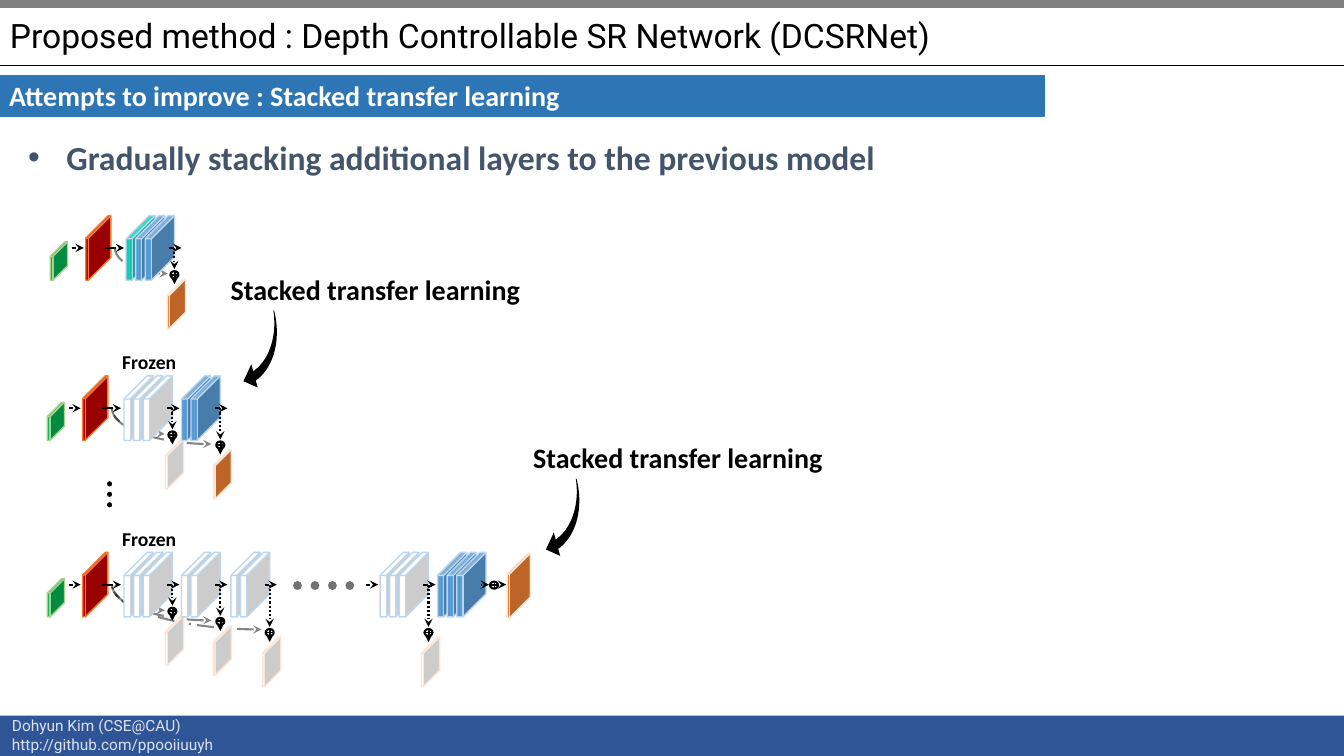
from lxml import etree
from pptx import Presentation
from pptx.dml.color import RGBColor
from pptx.enum.shapes import MSO_CONNECTOR, MSO_SHAPE
from pptx.enum.text import MSO_ANCHOR, PP_ALIGN
from pptx.oxml.ns import qn
from pptx.util import Inches, Pt

STRAIGHT = MSO_CONNECTOR.STRAIGHT
RECT, CUBE, ARC = MSO_SHAPE.RECTANGLE, MSO_SHAPE.CUBE, MSO_SHAPE.ARC
OVAL, PLUS = MSO_SHAPE.OVAL, MSO_SHAPE.MATH_PLUS
CURVED = MSO_SHAPE.CURVED_LEFT_ARROW
MIDDLE, CENTER, LEFT = MSO_ANCHOR.MIDDLE, PP_ALIGN.CENTER, PP_ALIGN.LEFT

W, H = 13.33, 7.5
C = {
    "footer": "2F5597", "top": "808080", "footer_text": "DAE3F3", "banner": "2E75B6",
    "bullet": "44546A", "black": "000000", "white": "FFFFFF", "dots": "767171",
    "input": "00B050", "input_edge": "A9D18E", "conv": "C00000", "orange": "ED7D31",
    "teal": "16CCB6", "blue": "5B9BD5", "layer_edge": "BDD7EE", "head_edge": "FBE5D6",
}

TITLE = "Proposed method : Depth Controllable SR Network (DCSRNet)"
BANNER = "Attempts to improve : Stacked transfer learning"
BULLET = "Gradually stacking additional layers to the previous model"
FOOTER = "Dohyun Kim (CSE@CAU)\nhttp://github.com/ppooiiuuyh"
TRANSFER, FROZEN = "Stacked transfer learning", "Frozen"

ICE2, ICE3 = ["white"] * 2, ["white"] * 3
MODELS = [
    {"x": 0.5, "axis": 2.46, "arcs": [(1.06, 0.51)],
     "blocks": [(1.25, ["teal", "blue", "blue"], 0.21, "orange")]},
    {"x": 0.47, "axis": 4.05, "arcs": [(1.06, 0.51), (1.99, 0.71)],
     "blocks": [(1.23, ICE3, 0.21, "white"), (1.8, ["blue"] * 2, 0.31, "orange")]},
    {"x": 0.47, "axis": 5.8, "arcs": [(1.06, 0.51), (2.99, 0.89), (1.99, 0.71)],
     "blocks": [(1.23, ICE3, 0.21, "white"), (1.8, ICE2, 0.31, "white"),
                (2.29, ICE2, 0.42, "white"), (3.77, ICE3, 0.42, "white"),
                (4.34, ["blue"] * 3, None, "orange")]},
]
TRANSFERS = [(2.24, 2.37), (5.24, 4.04)]
FROZEN_TOPS = [3.42, 5.18]
LAYER_STEP, LAYER_W, LAYER_H = 0.095, 0.29, 0.64

prs = Presentation()
prs.slide_width, prs.slide_height = Inches(W), Inches(H)
slide = prs.slides.add_slide(prs.slide_layouts[6])


def style_line(sp, color, width, dash=None, head=False, tail=False, alpha=None, cap=None):
    sp.line.color.rgb = RGBColor.from_string(C[color])
    sp.line.width = Pt(width)
    ln = sp._element.spPr.find(qn("a:ln"))
    if alpha:
        clr = ln.find(qn("a:solidFill"))[0]
        etree.SubElement(clr, qn("a:alpha")).set("val", str(alpha * 1000))
    if cap:
        ln.set("cap", cap)
    if dash:
        etree.SubElement(ln, qn("a:prstDash")).set("val", dash)
    for tag, wanted in (("a:headEnd", head), ("a:tailEnd", tail)):
        if wanted:
            etree.SubElement(ln, qn(tag)).set("type", "stealth")


def shape(kind, x, y, w, h, fill=None, edge=None, width=1, adj=(), rot=0, **line):
    sp = slide.shapes.add_shape(kind, Inches(x), Inches(y), Inches(w), Inches(h))
    sp.shadow.inherit = False
    sp.rotation = rot
    for i, value in enumerate(adj):
        sp.adjustments[i] = value
    if fill:
        sp.fill.solid()
        sp.fill.fore_color.rgb = RGBColor.from_string(C[fill])
    else:
        sp.fill.background()
    if edge:
        style_line(sp, edge, width, **line)
    else:
        sp.line.fill.background()
    return sp


def connect(x1, y1, x2, y2, color="black", width=1.5, **line):
    cx = slide.shapes.add_connector(STRAIGHT, Inches(x1), Inches(y1), Inches(x2), Inches(y2))
    style_line(cx, color, width, **line)
    etree.SubElement(cx._element.spPr, qn("a:effectLst"))


def write(sp, text, size, color="black", font="Calibri", bold=True, align=LEFT):
    tf = sp.text_frame
    tf.text = text
    for p in tf.paragraphs:
        p.alignment = align
        for r in p.runs:
            r.font.size, r.font.name, r.font.bold = Pt(size), font, bold
            r.font.color.rgb = RGBColor.from_string(C[color])
    return tf


def text_box(x, y, w, h, *args, wrap=False, **kw):
    sp = slide.shapes.add_textbox(Inches(x), Inches(y), Inches(w), Inches(h))
    tf = write(sp, *args, **kw)
    tf.word_wrap = wrap
    return tf


def output_plus(x, y):
    shape(OVAL, x, y, 0.08, 0.07, None, "black", 1.5)
    shape(PLUS, x, y, 0.09, 0.07, "black", "black", adj=[0.046])


def draw_block(axis, left, layers, drop, head):
    for i, color in enumerate(layers):
        shape(CUBE, left + i * LAYER_STEP, axis - LAYER_H / 2, LAYER_W, LAYER_H,
              color, "layer_edge", adj=[0.788])
    leave = left + (len(layers) - 1) * LAYER_STEP + 0.24
    if drop is None:
        connect(leave, axis, leave + 0.08, axis, tail=True)
        output_plus(leave + 0.09, axis - 0.03)
        connect(leave + 0.19, axis, leave + 0.25, axis, tail=True)
        shape(CUBE, leave + 0.26, axis - 0.31, 0.23, LAYER_H, head, "head_edge", adj=[0.897])
        return
    x, y = leave + 0.05, axis + drop
    connect(leave, axis, leave + 0.12, axis, tail=True)
    connect(x, axis, x, y, dash="sysDot", tail=True)
    output_plus(x - 0.04, y + 0.02)
    shape(CUBE, x - 0.07, y + 0.1, 0.18, 0.49, head, "head_edge", adj=[0.897])
    connect(x, y + 0.1, x, y + 0.15, dash="sysDot", tail=True)


def draw_model(x, axis, arcs, blocks):
    for w, h in arcs:
        shape(ARC, x + 0.64, axis - h / 2, w, h, None, "black", 1.5, [162.867, 0], 180,
              dash="lgDashDotDot", head=True, alpha=48)
    shape(CUBE, x, axis - 0.06, 0.17, 0.38, "input", "input_edge", adj=[0.835])
    shape(CUBE, x + 0.35, axis - LAYER_H / 2, 0.25, LAYER_H, "conv", "orange", adj=[0.897])
    connect(x + 0.21, axis, x + 0.33, axis, tail=True)
    connect(x + 0.54, axis, x + 0.73, axis, tail=True)
    for block in blocks:
        draw_block(axis, *block)


shape(RECT, 0, 7.1, W, 0.4, "footer")
shape(RECT, 0, 0, W, 0.07, "top", "top")
connect(0, 0.65, W, 0.65, width=0.5)
text_box(0.02, 7.06, 2.22, 0.47, FOOTER, 11, "footer_text", "Roboto", False)

banner = write(shape(RECT, 0, 0.75, 10.36, 0.4, "banner", "banner"), BANNER, 20, "white")
banner.vertical_anchor = MIDDLE
banner.margin_left = banner.margin_right = Inches(0.09)
banner.margin_top = banner.margin_bottom = Inches(0.04)

title = text_box(0, 0.09, 11.67, 0.57, TITLE, 24, font="Roboto", bold=False, wrap=True)
title.vertical_anchor = MIDDLE
title.paragraphs[0].line_spacing = 0.9

bullet = text_box(0.18, 1.31, 8.95, 0.5, BULLET, 24, "bullet")
pPr = bullet.paragraphs[0]._p.get_or_add_pPr()
pPr.set("marL", str(Inches(0.38)))
pPr.set("indent", str(-Inches(0.38)))
etree.SubElement(pPr, qn("a:buClr")).append(
    etree.Element(qn("a:srgbClr"), val=C["bullet"]))
etree.SubElement(pPr, qn("a:buFont")).set("typeface", "Arial")
etree.SubElement(pPr, qn("a:buChar")).set("char", "•")

for model in MODELS:
    draw_model(**model)
connect(2.95, 5.81, 3.47, 5.81, "dots", 6.25, dash="sysDot", cap="rnd")
connect(3.63, 5.8, 3.75, 5.8, tail=True)
connect(1.09, 4.8, 1.09, 5.11, width=3.75, dash="sysDot", cap="rnd")

for x, y in TRANSFERS:
    shape(CURVED, x, y, 0.48, 1.49, "black", adj=[0.197, 0.5, 0.25], rot=344.6)
    shape(RECT, x - 0.34, y - 0.22, 0.88, 0.93, "white")
    text_box(x - 0.05, y + 0.28, 3.1, 0.44, TRANSFER, 20)
for y in FROZEN_TOPS:
    text_box(1.11, y, 0.74, 0.34, FROZEN, 14, align=CENTER)

prs.save("out.pptx")
